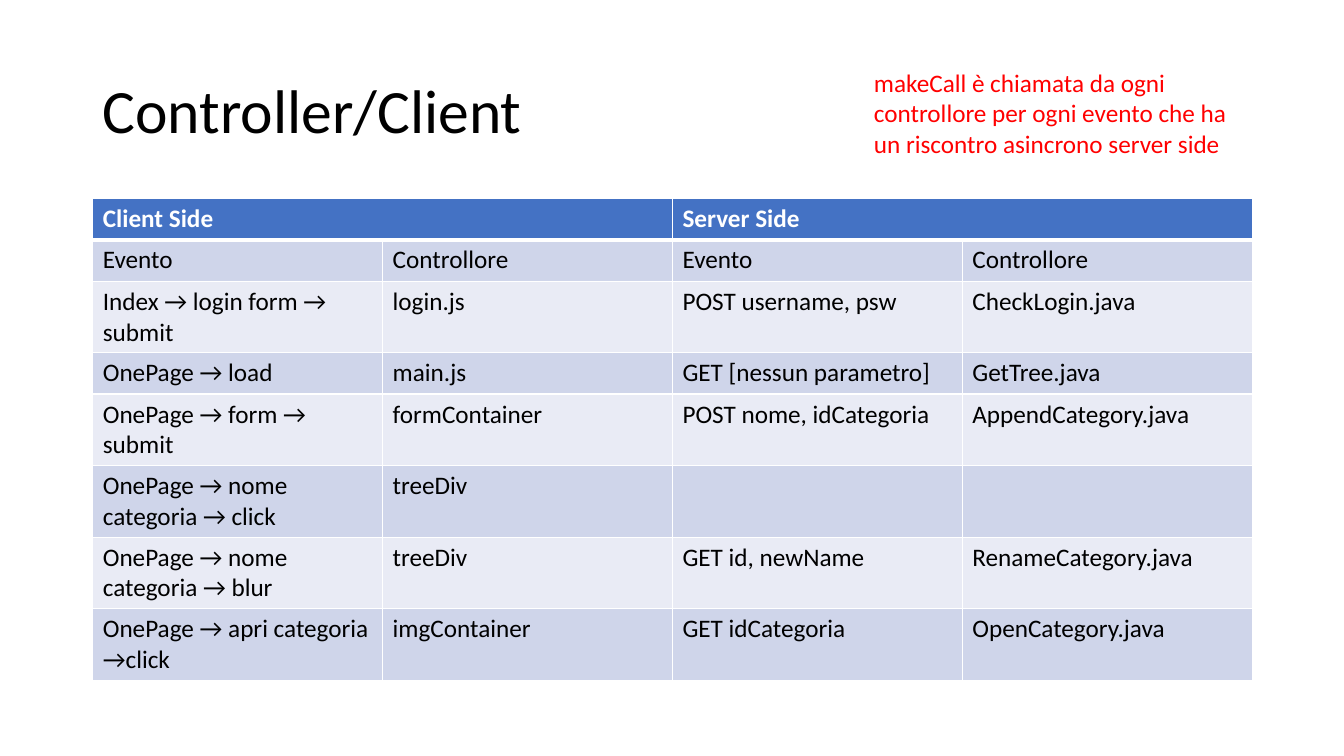
from lxml import etree
from pptx import Presentation
from pptx.dml.color import RGBColor
from pptx.enum.text import MSO_ANCHOR as Anchor
from pptx.oxml.ns import qn
from pptx.util import Inches, Pt

# Content
TITLE = "Controller/Client"
NOTE = ("makeCall è chiamata da ogni controllore per ogni evento "
        "che ha un riscontro asincrono server side")
ROWS = [
    ("Client Side", "", "Server Side", ""),
    ("Evento", "Controllore", "Evento", "Controllore"),
    ("Index → login form → submit", "login.js", "POST username, psw", "CheckLogin.java"),
    ("OnePage → load", "main.js", "GET [nessun parametro]", "GetTree.java"),
    ("OnePage → form → submit", "formContainer", "POST nome, idCategoria",
     "AppendCategory.java"),
    ("OnePage → nome categoria → click", "treeDiv", "", ""),
    ("OnePage → nome categoria → blur", "treeDiv", "GET id, newName",
     "RenameCategory.java"),
    ("OnePage → apri categoria →click", "imgContainer", "GET idCategoria",
     "OpenCategory.java"),
]

# Style
FONT = "Calibri"
BLACK, WHITE, RED = "000000", "FFFFFF", "FF0000"
HEADER_FILL, BANDS = "4472C4", ("E9EBF5", "CFD5EA")
LEFT, WIDTH = 0.92, 11.5
ONE_LINE, TWO_LINES = 0.41, 0.71
WRAP_LENGTH = 22  # longest event that fits on one line


def color(value):
    return RGBColor.from_string(value)


def write(frame, text, size, ink, bold=False):
    para = frame.paragraphs[0]
    span = para.add_run()
    span.text = text
    span.font.name, span.font.size = FONT, Pt(size)
    span.font.bold = bold
    span.font.color.rgb = color(ink)
    return para


def add_text(page, area, text, size, ink, anchor):
    box = page.shapes.add_textbox(*map(Inches, area))
    box.text_frame.word_wrap = True
    box.text_frame.vertical_anchor = anchor
    return write(box.text_frame, text, size, ink)


def set_borders(cell, top, bottom):
    props = cell._tc.get_or_add_tcPr()
    widths = {"a:lnL": 1, "a:lnR": 1, "a:lnT": top, "a:lnB": bottom}
    for place, (tag, width) in enumerate(widths.items()):
        line = etree.Element(qn(tag), w=str(Pt(width)))
        fill = etree.SubElement(line, qn("a:solidFill"))
        etree.SubElement(fill, qn("a:srgbClr"), val=WHITE)
        props.insert(place, line)


def add_table(page):
    columns = len(ROWS[0])
    heights = [TWO_LINES if len(row[0]) > WRAP_LENGTH else ONE_LINE for row in ROWS]
    table = page.shapes.add_table(
        len(ROWS), columns, Inches(LEFT), Inches(1.97),
        Inches(WIDTH), Inches(sum(heights))).table
    for column in table.columns:
        column.width = Inches(WIDTH / columns)

    for r, (row, height) in enumerate(zip(ROWS, heights)):
        table.rows[r].height = Inches(height)
        header = r == 0
        for c, text in enumerate(row):
            cell = table.cell(r, c)
            cell.fill.solid()
            cell.fill.fore_color.rgb = color(HEADER_FILL if header else BANDS[r % 2])
            set_borders(cell, 3 if r == 1 else 1, 3 if header else 1)
            if text:
                write(cell.text_frame, text, 18, WHITE if header else BLACK, header)

    # Each side's heading spans two columns
    for c in range(0, columns, 2):
        table.cell(0, c).merge(table.cell(0, c + 1))


def main():
    deck = Presentation()
    deck.slide_width, deck.slide_height = Inches(13.33), Inches(7.5)
    page = deck.slides.add_slide(deck.slide_layouts[6])

    # Title, table and side note
    title = add_text(page, (LEFT, 0.4, WIDTH, 1.45), TITLE, 44, BLACK, Anchor.MIDDLE)
    title.line_spacing = 0.9
    add_table(page)
    add_text(page, (8.57, 0.62, 3.84, 1.01), NOTE, 18, RED, Anchor.TOP)

    deck.save("out.pptx")


if __name__ == "__main__":
    main()
